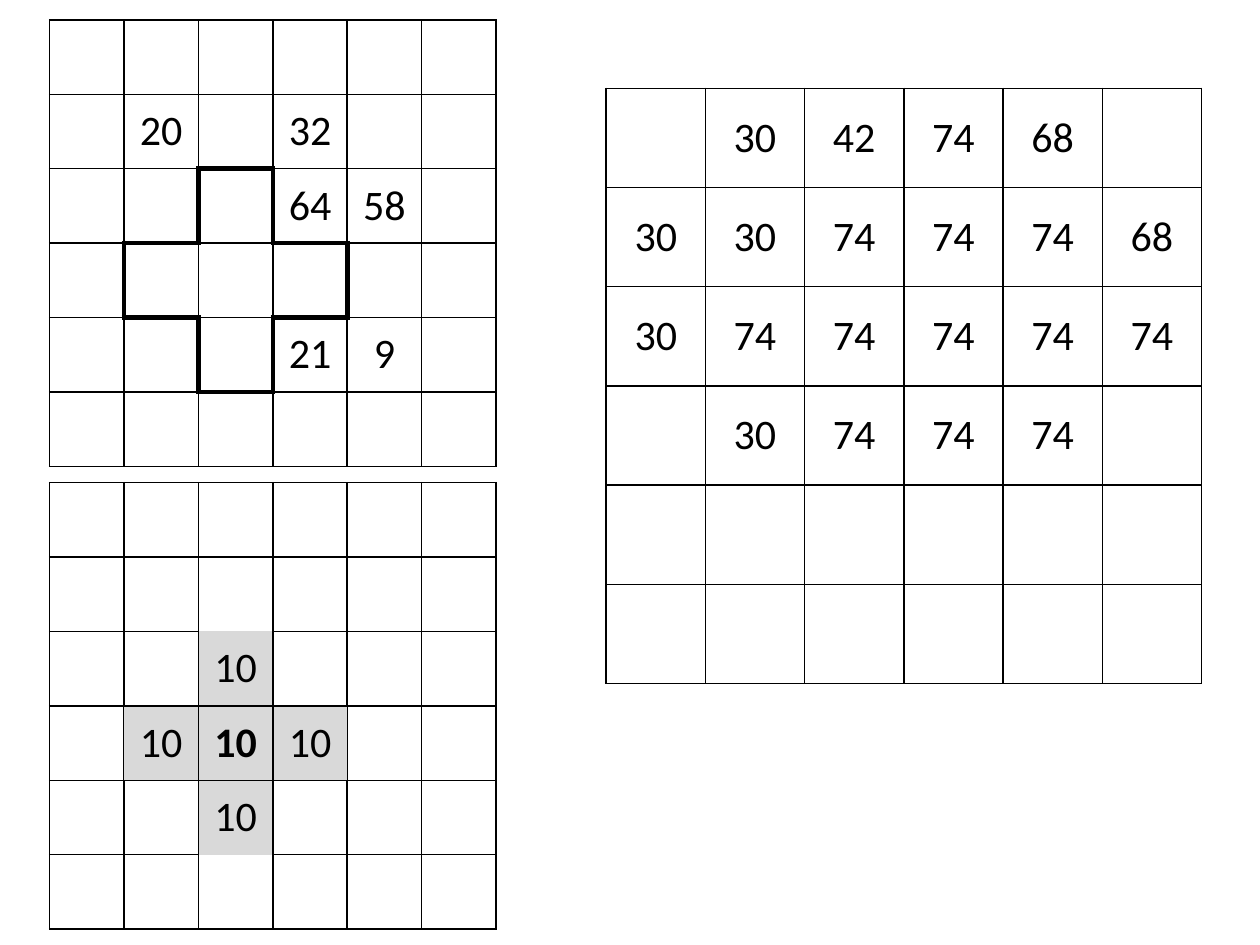
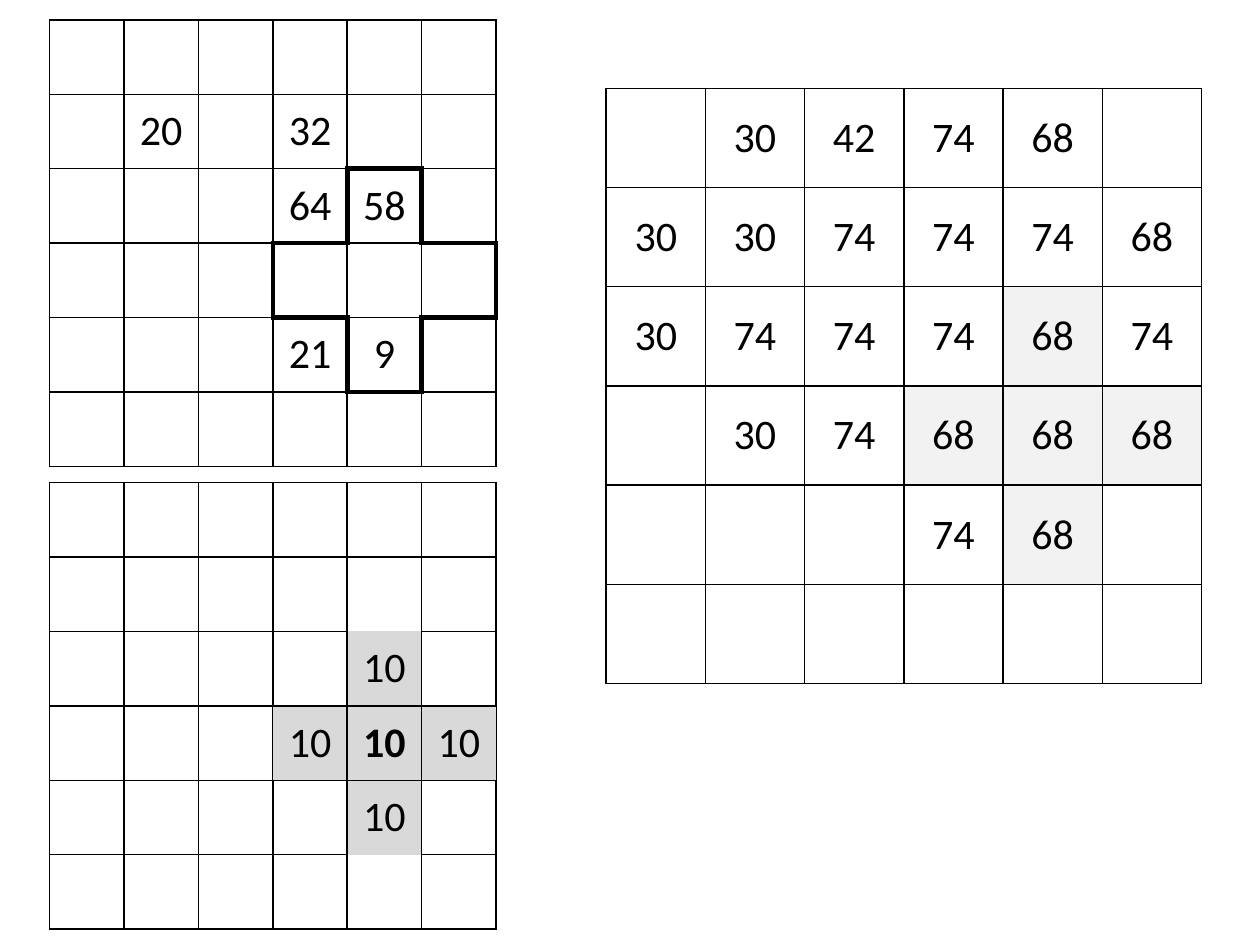
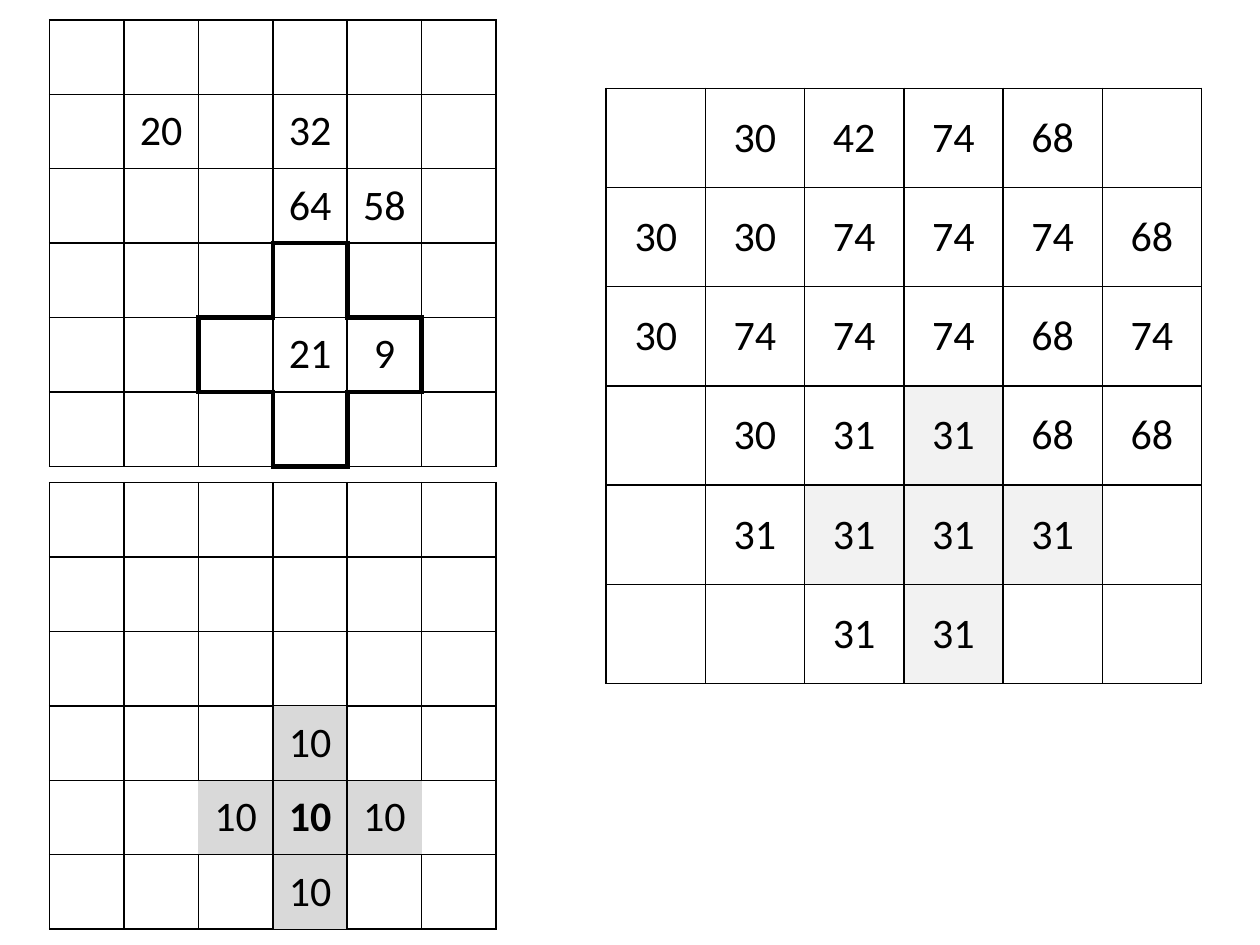
"""Build three steps of a cross-shaped window moving over a number grid."""
from lxml import etree
from pptx import Presentation
from pptx import util as u
from pptx.dml.color import RGBColor
from pptx.enum import text
from pptx.oxml import ns

COLORS = {"ink": "000000", "window": "D9D9D9", "latest": "F2F2F2"}
FONT = {"name": "Calibri", "size": u.Pt(24)}
NO_STYLE = "{2D5ABB26-0587-4C30-8999-92F81FD0307C}"
SIDES = {"lnL": (0, -1), "lnR": (0, 1), "lnT": (-1, 0), "lnB": (1, 0)}
SMALL, LARGE = 1.5, 2
SOURCE_BOX = (1, 0.4, SMALL)
WINDOW_BOX = (1, 9.73, SMALL)
TOTALS_BOX = (12.22, 1.78, LARGE)

EMPTY = ". . . . . ."
SOURCE = [EMPTY, ". 20 . 32 . .", ". . . 64 58 .", EMPTY, ". . . 21 9 .", EMPTY]
BLANK = [EMPTY] * 6
CROSS = [". 10 .", "10 10 10", ". 10 ."]
OUTLINE = [". . ."] * 3
TOP_TOTALS = [". 30 42 74 68 .", "30 30 74 74 74 68"]
STEPS = [
    {"center": (3, 2), "shaded": False,
     "totals": ["30 74 74 74 74 74", ". 30 74 74 74 .", EMPTY, EMPTY]},
    {"center": (3, 4), "shaded": True,
     "totals": ["30 74 74 74 68 74", ". 30 74 68 68 68", ". . . 74 68 .", EMPTY]},
    {"center": (4, 3), "shaded": True,
     "totals": ["30 74 74 74 68 74", ". 30 31 31 68 68", ". 31 31 31 31 .",
                ". . 31 31 . ."]},
]


def in_cross(place, center=(1, 1)):
    """Tell whether a cell belongs to the cross around a center."""
    return abs(place[0] - center[0]) + abs(place[1] - center[1]) <= 1


def every_edge(place, neighbor):
    """Rule every edge."""
    return True


def inner_edge(place, neighbor):
    """Rule only the edges between cells of a three by three table."""
    return all(0 <= index < 3 for index in neighbor)


def cross_edge(place, neighbor):
    """Rule only the outline of the cross."""
    return in_cross(place) != in_cross(neighbor)


def rule_cell(cell, place, has_edge, weight):
    """Draw or clear the four borders of a cell."""
    properties = cell._tc.get_or_add_tcPr()
    for index, (side, (down, across)) in enumerate(SIDES.items()):
        line = etree.Element(ns.qn(f"a:{side}"), w=str(u.Pt(weight)))
        if has_edge(place, (place[0] + down, place[1] + across)):
            fill = etree.SubElement(line, ns.qn("a:solidFill"))
            etree.SubElement(fill, ns.qn("a:srgbClr"), val=COLORS["ink"])
        else:
            etree.SubElement(line, ns.qn("a:noFill"))
        properties.insert(index, line)


def write_cell(cell, value, bold):
    """Write a centered number in a cell."""
    cell.vertical_anchor = text.MSO_ANCHOR.MIDDLE
    para = cell.text_frame.paragraphs[0]
    para.alignment = text.PP_ALIGN.CENTER
    span = para.add_run()
    span.text = value
    for name, setting in {**FONT, "bold": bold}.items():
        setattr(span.font, name, setting)
    span.font.color.rgb = RGBColor.from_string(COLORS["ink"])


def add_grid(page, box, rows, has_edge=every_edge, weight=1, center=None,
             tint="latest", bold_center=False):
    """Add a table of square cells, with an optional tinted cross."""
    left, top, side = box
    values = [row.split() for row in rows]
    count = len(values)
    extent = u.Cm(side * count)
    table = page.shapes.add_table(count, count, u.Cm(left), u.Cm(top),
                                  extent, extent).table
    table.first_row = table.horz_banding = False
    table._tbl.tblPr.find(ns.qn("a:tableStyleId")).text = NO_STYLE
    for column in table.columns:
        column.width = u.Cm(side)
    for row in table.rows:
        row.height = u.Cm(side)
    for down, line in enumerate(values):
        for across, value in enumerate(line):
            place = (down, across)
            cell = table.cell(*place)
            if center and in_cross(place, center):
                cell.fill.solid()
                cell.fill.fore_color.rgb = RGBColor.from_string(COLORS[tint])
            else:
                cell.fill.background()
            if value != ".":
                write_cell(cell, value, bold_center and place == center)
            rule_cell(cell, place, has_edge, weight)


def window_over(box, center):
    """Return the box of the three by three window around a grid cell."""
    left, top, side = box
    return left + (center[1] - 1) * side, top + (center[0] - 1) * side, side


def add_step(deck, step):
    """Add the slide of one window position."""
    page = deck.slides.add_slide(deck.slide_layouts[6])
    center = step["center"]
    add_grid(page, TOTALS_BOX, TOP_TOTALS + step["totals"],
             center=center if step["shaded"] else None)
    add_grid(page, WINDOW_BOX, BLANK)
    add_grid(page, window_over(WINDOW_BOX, center), CROSS, inner_edge,
             center=(1, 1), tint="window", bold_center=True)
    add_grid(page, SOURCE_BOX, SOURCE)
    add_grid(page, window_over(SOURCE_BOX, center), OUTLINE, cross_edge, weight=3)


def main():
    """Build and save the deck."""
    deck = Presentation()
    deck.slide_width, deck.slide_height = u.Cm(25.4), u.Cm(19.05)
    for step in STEPS:
        add_step(deck, step)
    deck.save("out.pptx")


if __name__ == "__main__":
    main()
